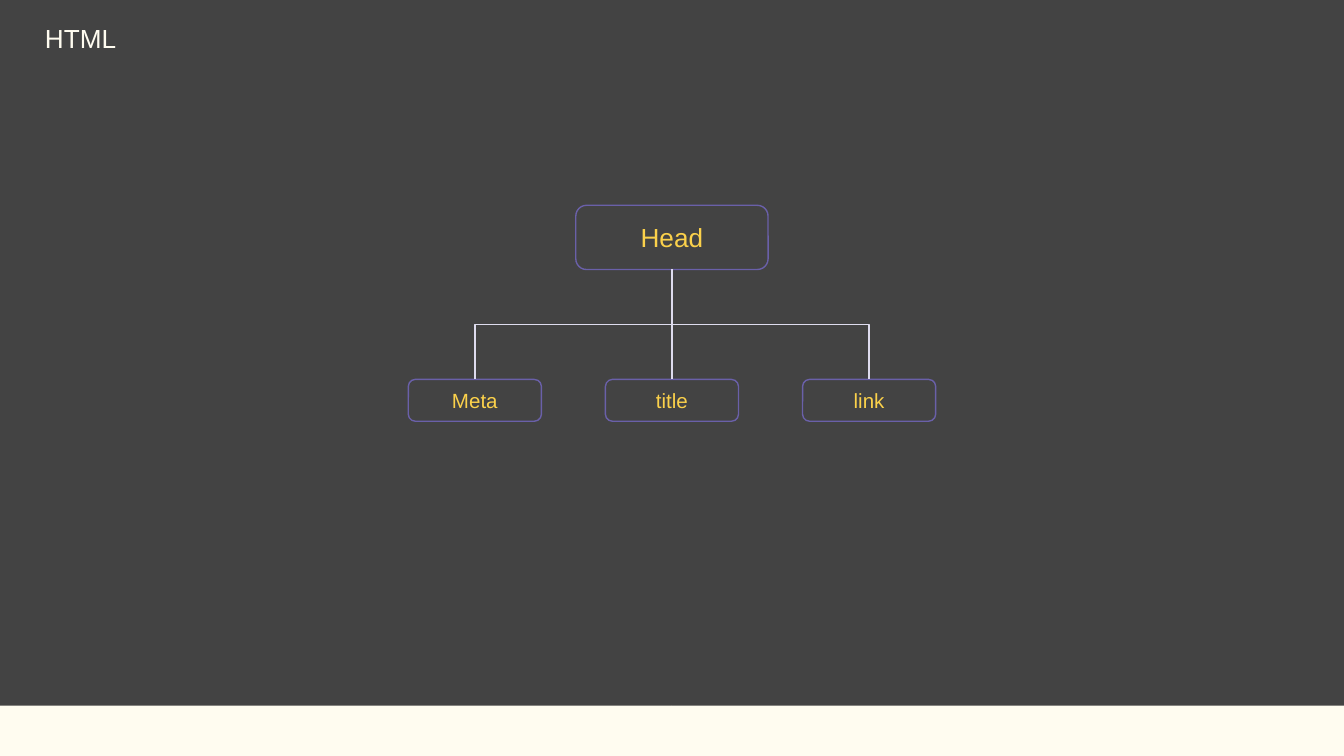
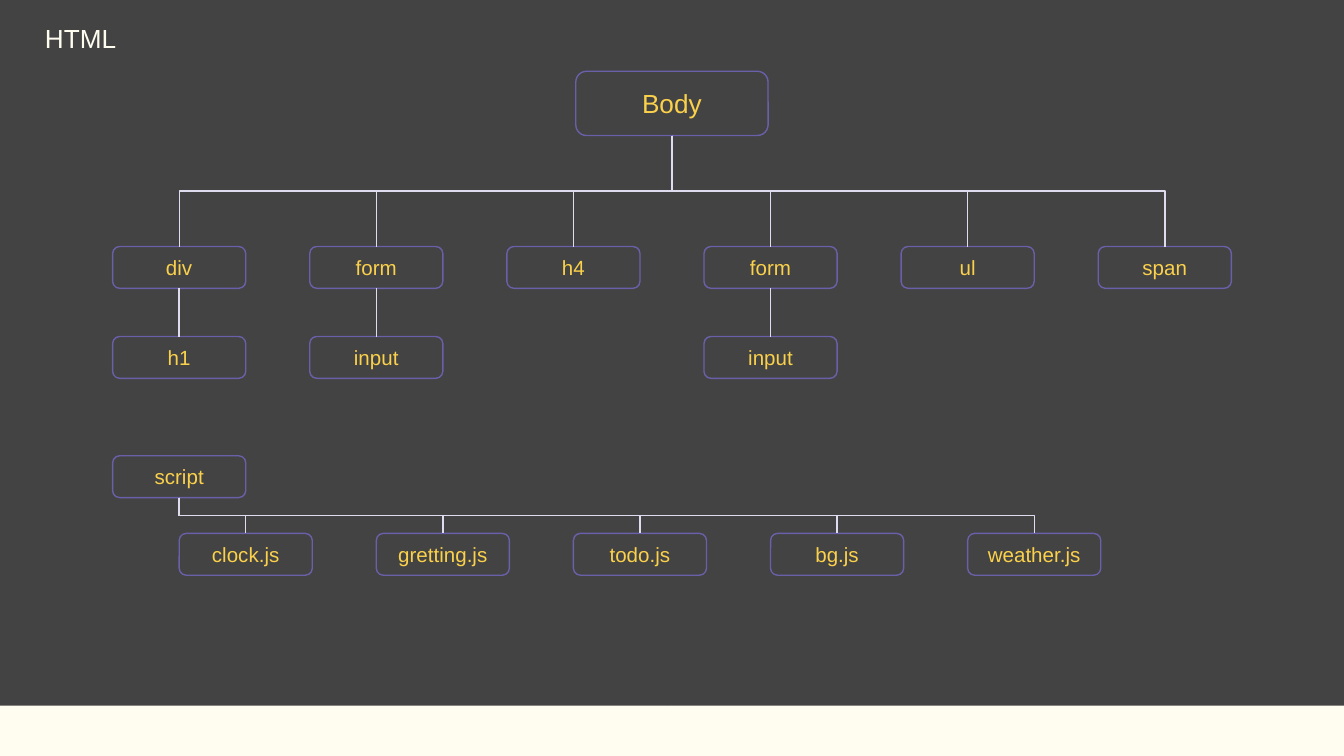
import pptx
import pptx.dml.color
import pptx.enum.shapes
import pptx.enum.text
import pptx.oxml.ns
import pptx.util
from lxml import etree

Pt = pptx.util.Pt
SHAPES = pptx.enum.shapes.MSO_SHAPE
CONNECTORS = pptx.enum.shapes.MSO_CONNECTOR
TEXT = pptx.enum.text

# Shared measures, in points
SLIDE_W, SLIDE_H = 720, 405
CENTER = SLIDE_W / 2
STEP = 105.6
ROOT = {"width": 103, "height": 34.4, "size": 14}
TAG = {"width": 71.3, "height": 22.4, "size": 11}

FRAME = {
    "margin_left": Pt(7.2), "margin_right": Pt(7.2),
    "margin_top": Pt(7.2), "margin_bottom": Pt(7.2),
    "word_wrap": True,
    "auto_size": TEXT.MSO_AUTO_SIZE.NONE,
    "vertical_anchor": TEXT.MSO_ANCHOR.MIDDLE,
}


def rgb(value):
    return pptx.dml.color.RGBColor.from_string(value)


def assign(target, values):
    for name, value in values.items():
        setattr(target, name, value)


def fill(target, color):
    target.solid()
    target.fore_color.rgb = rgb(color)


class TreeDeck:
    background, cream = "434343", "FFFCF0"
    border, label, branch = "6A60A9", "FBD14B", "DEDCEE"
    font, line_width = "Arial", 0.75

    def __init__(self):
        self.prs = pptx.Presentation()
        assign(self.prs, {"slide_width": Pt(SLIDE_W), "slide_height": Pt(SLIDE_H)})
        fill(self.prs.slide_master.background.fill, self.background)
        self.slide = None

    def new_slide(self, title):
        self.slide = self.prs.slides.add_slide(self.prs.slide_layouts[5])
        heading = self.slide.shapes.title
        assign(heading, {"left": 0, "top": 0, "width": Pt(86.4), "height": Pt(41)})
        self.set_text(heading, title, 14, self.cream)
        self.footer()

    def footer(self):
        half = SLIDE_W / 2
        for left in (0, half):
            band = self.shape(SHAPES.RECTANGLE, left, 378, half, 27)
            fill(band.fill, self.cream)
            band.line.fill.background()

    def shape(self, kind, left, top, width, height):
        shape = self.slide.shapes.add_shape(
            kind, Pt(left), Pt(top), Pt(width), Pt(height))
        shape.shadow.inherit = False
        return shape

    def set_text(self, shape, text, size, color):
        frame = shape.text_frame
        assign(frame, FRAME)
        frame.text = text
        paragraph = frame.paragraphs[0]
        paragraph.alignment = TEXT.PP_ALIGN.CENTER
        font = paragraph.runs[0].font
        assign(font, {"name": self.font, "size": Pt(size)})
        font.color.rgb = rgb(color)

    def node(self, text, center, top, style=TAG):
        width = style["width"]
        node = self.shape(SHAPES.ROUNDED_RECTANGLE, center - width / 2, top,
                          width, style["height"])
        node.fill.background()
        node.line.width = Pt(self.line_width)
        node.line.color.rgb = rgb(self.border)
        self.set_text(node, text, style["size"], self.label)
        return node

    def row(self, labels, first_center, top):
        return [self.node(text, first_center + i * STEP, top)
                for i, text in enumerate(labels)]

    def join(self, parent, child):
        start_x = parent.left + parent.width // 2
        end_x = child.left + child.width // 2
        start_y = parent.top + parent.height
        across, down = end_x - start_x, child.top - start_y
        straight = abs(across) < Pt(0.5)
        kind = CONNECTORS.STRAIGHT if straight else CONNECTORS.ELBOW
        link = self.slide.shapes.add_connector(kind, start_x, start_y, end_x, child.top)
        link.begin_connect(parent, 2)
        link.end_connect(child, 0)
        if not straight:
            # Quarter turn, so that the elbow leaves downwards
            width, height = down, abs(across)
            assign(link, {
                "left": (start_x + end_x - width) // 2,
                "top": (start_y + child.top - height) // 2,
                "width": width, "height": height,
            })
            assign(link._element.spPr.xfrm, {
                "rot": 270 if across > 0 else 90,
                "flipH": across > 0, "flipV": False,
            })
        link.line.width = Pt(self.line_width)
        link.line.color.rgb = rgb(self.branch)
        etree.SubElement(link._element.spPr, pptx.oxml.ns.qn("a:effectLst"))

    def join_all(self, parent, children):
        for child in children:
            self.join(parent, child)


def head_slide(deck):
    deck.new_slide("HTML")
    head = deck.node("Head", CENTER, 110, ROOT)
    deck.join_all(head, deck.row(["Meta", "title", "link"], CENTER - STEP, 203.3))


def body_slide(deck):
    deck.new_slide("HTML")
    first_center = CENTER - 2.5 * STEP

    # Body and its direct children
    body = deck.node("Body", CENTER, 38.2, ROOT)
    tags = deck.row(["div", "form", "h4", "form", "ul", "span"], first_center, 132.1)
    deck.join_all(body, tags)

    # Nested tags, by column
    for column, text in {0: "h1", 1: "input", 3: "input"}.items():
        nested = deck.node(text, first_center + column * STEP, 180.3)
        deck.join(tags[column], nested)

    # Scripts
    script = deck.node("script", first_center, 244.2)
    files = ["clock.js", "gretting.js", "todo.js", "bg.js", "weather.js"]
    deck.join_all(script, deck.row(files, first_center + TAG["width"] / 2, 285.8))


def main():
    deck = TreeDeck()
    head_slide(deck)
    body_slide(deck)
    deck.prs.save("out.pptx")


if __name__ == "__main__":
    main()
